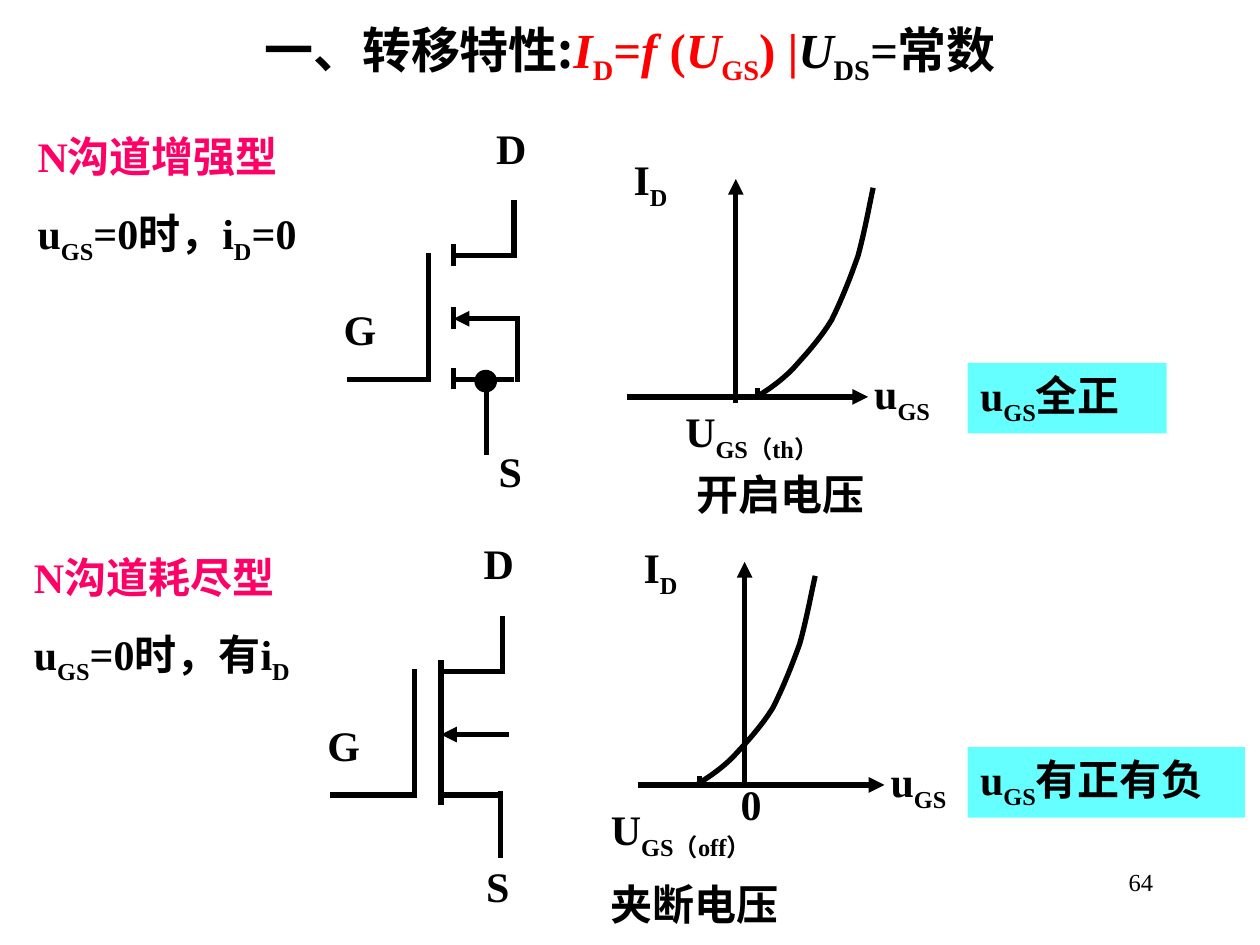
"""Build the slide on MOSFET transfer characteristics with python-pptx."""
from dataclasses import dataclass

from pptx import Presentation
from pptx.dml.color import RGBColor as Rgb
from pptx.enum.shapes import MSO_CONNECTOR as Connector, MSO_SHAPE as Preset
from pptx.enum.text import MSO_ANCHOR as Anchor, MSO_AUTO_SIZE as AutoSize, PP_ALIGN as Align
from pptx.oxml.ns import qn
from pptx.util import Emu, Pt
from lxml.etree import SubElement

PX = 9144


@dataclass(frozen=True)
class Theme:
    ink: Rgb = Rgb.from_string("000000")
    red: Rgb = Rgb.from_string("FF0000")
    pink: Rgb = Rgb.from_string("FF0066")
    cyan: Rgb = Rgb.from_string("66FFFF")
    latin: str = "Times New Roman"
    cjk: str = "Noto Sans CJK SC"
    title: int = 28
    body: int = 24
    number: int = 14
    stroke: int = 3


theme = Theme()


def write(paragraph, text, color=theme.ink, size=theme.body, bold=True, italic=False, font=theme.latin):
    for index, part in enumerate(text.split("_")):
        if not part:
            continue
        run = paragraph.add_run()
        run.text = part
        run.font.size, run.font.bold, run.font.italic = Pt(size), bold, italic
        run.font.color.rgb, run.font.name = color, font
        properties = run._r.get_or_add_rPr()
        SubElement(properties, qn("a:ea"), typeface=theme.cjk)
        if index % 2:
            properties.set("baseline", "-25000")


def draw_line(x1, y1, x2, y2, arrow=None):
    ends = [Emu(round(v) * PX) for v in (x1, y1, x2, y2)]
    connector = slide.shapes.add_connector(Connector.STRAIGHT, *ends)
    connector.line.color.rgb, connector.line.width = theme.ink, Pt(theme.stroke)
    if arrow:
        SubElement(connector.line._get_or_add_ln(), qn(f"a:{arrow}"), type="triangle")
    SubElement(connector._element.spPr, qn("a:effectLst"))


deck = Presentation()
deck.slide_width, deck.slide_height = Emu(1000 * PX), Emu(750 * PX)
slide = deck.slides.add_slide(deck.slide_layouts[5])

heading = slide.shapes.title
heading.left, heading.top, heading.width, heading.height = [Emu(v * PX) for v in (75, 0, 850, 84)]
heading.text_frame.auto_size = AutoSize.NONE
heading.text_frame.vertical_anchor = Anchor.MIDDLE
formula = heading.text_frame.paragraphs[0]
formula.alignment = Align.CENTER
for text, color, italic, font in (
    ("一、", theme.ink, False, theme.latin),
    ("转移特性:", theme.ink, False, theme.cjk),
    ("I", theme.red, True, theme.latin),
    ("_D_=", theme.red, False, theme.latin),
    ("f ", theme.red, True, theme.latin),
    ("(", theme.red, False, theme.latin),
    ("U", theme.red, True, theme.latin),
    ("_GS_) |", theme.red, False, theme.latin),
    ("U", theme.ink, True, theme.latin),
    ("_DS_", theme.ink, False, theme.latin),
    ("=", theme.ink, True, theme.latin),
    ("常数", theme.ink, False, theme.latin),
):
    write(formula, text, color, theme.title, italic=italic, font=font)

# Symbol coordinates are offsets from the gate terminal and the drain label.
symbol = (
    (67, 109, 67, 209), (69, 209, 0, 209),
    (88, 102, 88, 119), (88, 152, 88, 169), (88, 200, 88, 217),
    (88, 161, 142, 161, "headEnd"),
    (86, 111, 139, 111), (88, 209, 137, 209), (137, 113, 137, 67),
)
depletion_lines = ((350, 528, 350, 631), (397, 628, 397, 681))
enhancement_lines = ((411, 253, 411, 303), (386, 303, 386, 361))
depletion_axes = ((591, 446, 591, 624, "headEnd"), (506, 623, 702, 623, "tailEnd"), (555, 616, 555, 622))
enhancement_axes = ((584, 142, 584, 320, "headEnd"), (498, 315, 689, 315, "tailEnd"), (601, 308, 601, 314))
curve = ((0, 0), (8, -5), (17, -11), (27, -21), (36, -31), (49, -45), (58, -60),
         (66, -76), (73, -94), (79, -111), (84, -129), (89, -156), (91, -165))
steps = 8

for gate_x, drain_y, stretch, extra, axes, start_x, start_y, curve_width in (
    (262, 422, 1, depletion_lines, depletion_axes, 554, 622, 93),
    (275, 92, 0.97, enhancement_lines, enhancement_axes, 602, 314, 91),
):
    for x1, y1, x2, y2, *arrow in symbol:
        draw_line(gate_x + x1 * stretch, drain_y + y1, gate_x + x2 * stretch, drain_y + y2, *arrow)
    for segment in extra + axes:
        draw_line(*segment)

    trace = []
    for first in range(0, len(curve) - 1, 3):
        for step in range(1, steps + 1):
            t = step / steps
            weights = ((1 - t) ** 3, 3 * t * (1 - t) ** 2, 3 * t ** 2 * (1 - t), t ** 3)
            x, y = [sum(w * p[axis] for w, p in zip(weights, curve[first:first + 4])) for axis in (0, 1)]
            trace.append((round((start_x + x * curve_width / 91) * PX), round((start_y + y) * PX)))
    builder = slide.shapes.build_freeform(start_x * PX, start_y * PX)
    builder.add_line_segments(trace, close=False)
    characteristic = builder.convert_to_shape()
    characteristic.shadow.inherit = False
    characteristic.fill.background()
    characteristic.line.color.rgb, characteristic.line.width = theme.ink, Pt(theme.stroke)

source_node = slide.shapes.add_shape(Preset.OVAL, *[Emu(v * PX) for v in (377, 294, 17, 17)])
source_node.shadow.inherit = False
source_node.fill.solid()
source_node.fill.fore_color.rgb = source_node.line.color.rgb = theme.ink
source_node.line.width = Pt(0.75)

for text, x, y, width, height, fill in (
    ("N沟道耗尽型\nu_GS_=0时，有i_D_", 17, 433, 334, 117, None),
    ("G", 250, 566, 68, 50, None),
    ("S", 376, 678, 71, 50, None),
    ("D", 374, 422, 79, 50, None),
    ("0", 578, 613, 38, 50, None),
    ("U_GS（off）_", 475, 633, 197, 56, None),
    ("I_D_", 501, 425, 73, 56, None),
    ("u_GS_", 697, 595, 110, 56, None),
    ("夹断电压", 475, 692, 171, 50, None),
    ("u_GS_有正有负", 768, 593, 220, 56, theme.cyan),
    ("N沟道增强型\nu_GS_=0时，i_D_=0", 20, 99, 276, 117, None),
    ("G", 263, 236, 67, 50, None),
    ("S", 386, 349, 69, 50, None),
    ("D", 384, 92, 77, 50, None),
    ("I_D_", 493, 117, 71, 56, None),
    ("u_GS_", 684, 287, 107, 56, None),
    ("U_GS（th）_", 534, 317, 192, 56, None),
    ("开启电压", 543, 367, 167, 50, None),
    ("u_GS_全正", 768, 288, 158, 56, theme.cyan),
):
    place = [Emu(v * PX) for v in (x, y, width, height)]
    if fill:
        label = slide.shapes.add_shape(Preset.RECTANGLE, *place)
        label.shadow.inherit = False
        label.fill.solid()
        label.fill.fore_color.rgb = fill
        label.line.fill.background()
    else:
        label = slide.shapes.add_textbox(*place)
    frame = label.text_frame
    frame.word_wrap, frame.vertical_anchor = True, Anchor.TOP
    lines = text.split("\n")
    for index, line in enumerate(lines):
        paragraph = frame.add_paragraph() if index else frame.paragraphs[0]
        paragraph.alignment = Align.LEFT
        if index:
            paragraph.space_before = Pt(15)
        write(paragraph, line, theme.pink if index < len(lines) - 1 else theme.ink)

page_number = slide.shapes.add_textbox(*[Emu(v * PX) for v in (717, 683, 208, 50)]).text_frame
page_number.word_wrap = True
page_number.paragraphs[0].alignment = Align.RIGHT
write(page_number.paragraphs[0], "64", size=theme.number, bold=False)

deck.save("out.pptx")
